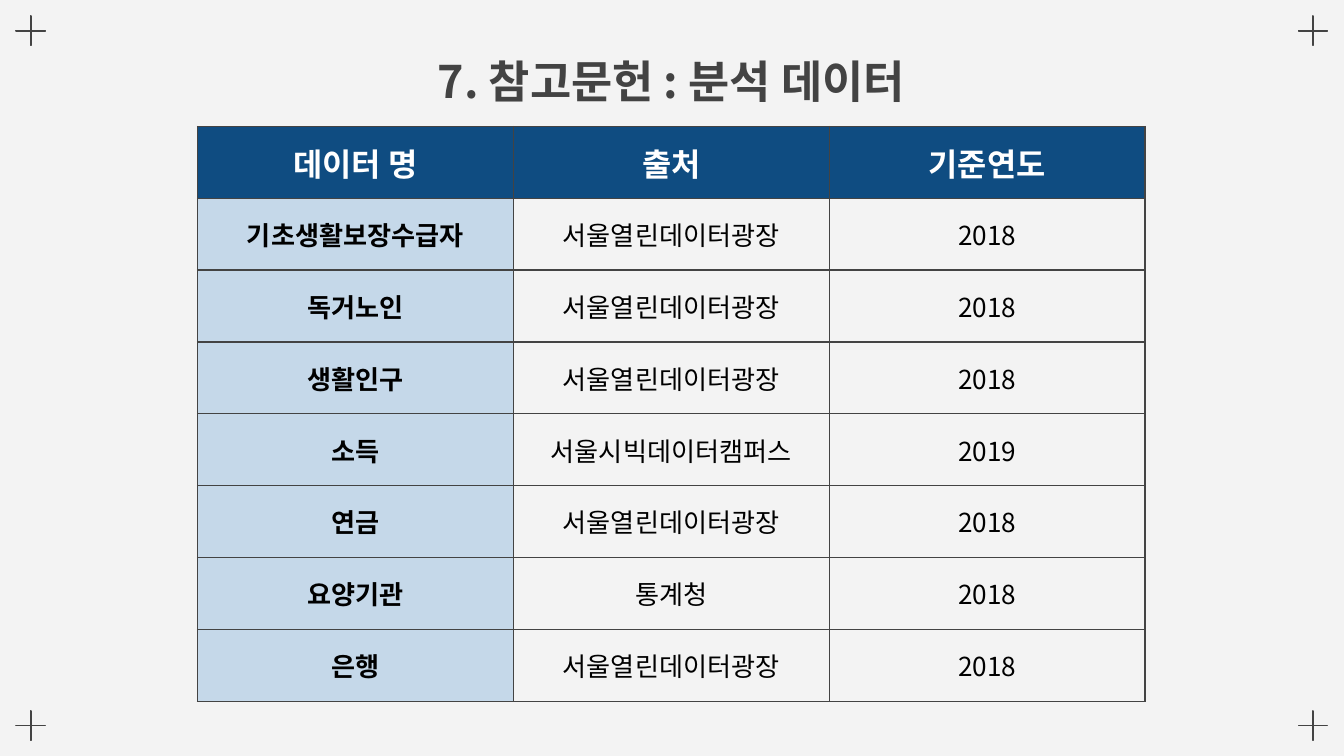
from pptx import Presentation
from pptx.dml.color import RGBColor
from pptx.enum.shapes import MSO_SHAPE as Shape
from pptx.enum.text import MSO_ANCHOR as Anchor, PP_ALIGN as Align
from pptx.oxml import parse_xml
from pptx.oxml.ns import nsdecls
from pptx.util import Inches, Pt

COLORS = {
    "background": "F3F3F3",
    "ink": "434343",
    "header": "0F4C81",
    "label": "C5D8E9",
    "white": "FFFFFF",
    "black": "000000",
}
FONT = "Noto Sans CJK KR"
LINE_WIDTH = Pt(0.75)

HEADINGS = ["데이터 명", "출처", "기준연도"]
PORTAL = "서울열린데이터광장"
SOURCES = [
    ("기초생활보장수급자", PORTAL, "2018"),
    ("독거노인", PORTAL, "2018"),
    ("생활인구", PORTAL, "2018"),
    ("소득", "서울시빅데이터캠퍼스", "2019"),
    ("연금", PORTAL, "2018"),
    ("요양기관", "통계청", "2018"),
    ("은행", PORTAL, "2018"),
]


def color(name):
    return RGBColor.from_string(COLORS[name])


def write_text(frame, text, size=14, ink="black", bold=False):
    para = frame.paragraphs[0]
    para.alignment = Align.CENTER
    span = para.add_run()
    span.text = text
    font = span.font
    font.name, font.size, font.bold = FONT, Pt(size), bold
    font.color.rgb = color(ink)
    span._r.get_or_add_rPr().append(
        parse_xml(f'<a:ea {nsdecls("a")} typeface="{FONT}"/>'))


def set_margins(holder, margin=0.1):
    holder.margin_left = holder.margin_right = Inches(margin)
    holder.margin_top = holder.margin_bottom = Inches(margin)


def add_corner_marks(page, left, top, width, height, size=0.3):
    """Put a thin plus sign in each corner of the given box."""
    for x in (left, left + width - size):
        for y in (top, top + height - size):
            mark = page.shapes.add_shape(
                Shape.MATH_PLUS, Inches(x), Inches(y), Inches(size), Inches(size))
            mark.adjustments[0] = 0.007
            mark.shadow.inherit = False
            mark.fill.background()
            mark.line.color.rgb = color("ink")
            mark.line.width = LINE_WIDTH


def add_title(page, left, top, width, height):
    box = page.shapes.add_textbox(*map(Inches, (left, top, width, height)))
    frame = box.text_frame
    frame.word_wrap = True
    frame.vertical_anchor = Anchor.TOP
    set_margins(frame)
    write_text(frame, "7. 참고문헌 : 분석 데이터", size=24, ink="ink", bold=True)


def add_borders(cell):
    properties = cell._tc.get_or_add_tcPr()
    for side in ("lnL", "lnR", "lnT", "lnB"):
        properties.append(parse_xml(
            f'<a:{side} {nsdecls("a")} w="{LINE_WIDTH}"><a:solidFill>'
            f'<a:srgbClr val="{COLORS["ink"]}"/></a:solidFill></a:{side}>'))


def fill_cell(cell, text, fill=None, **style):
    cell.vertical_anchor = Anchor.MIDDLE
    set_margins(cell)
    add_borders(cell)
    if fill:
        cell.fill.solid()
        cell.fill.fore_color.rgb = color(fill)
    else:
        cell.fill.background()
    write_text(cell.text_frame, text, **style)


def add_source_table(page, left, top, width, height):
    rows = [HEADINGS, *SOURCES]
    table = page.shapes.add_table(
        len(rows), len(HEADINGS), *map(Inches, (left, top, width, height))).table
    table.horz_banding = False
    for r, values in enumerate(rows):
        for c, value in enumerate(values):
            if r == 0:
                style = dict(fill="header", size=17, ink="white", bold=True)
            elif c == 0:
                style = dict(fill="label", bold=True)
            else:
                style = {}
            fill_cell(table.cell(r, c), value, **style)


def main():
    deck = Presentation()
    deck.slide_width, deck.slide_height = Inches(10), Inches(10 * 9 / 16)
    page = deck.slides.add_slide(deck.slide_layouts[6])
    page.background.fill.solid()
    page.background.fill.fore_color.rgb = color("background")
    add_corner_marks(page, 0.08, 0.08, 9.84, 5.47)
    add_title(page, 1.54, 0.3, 6.91, 0.44)
    add_source_table(page, 1.47, 0.94, 7.05, 4.28)
    deck.save("out.pptx")


if __name__ == "__main__":
    main()
